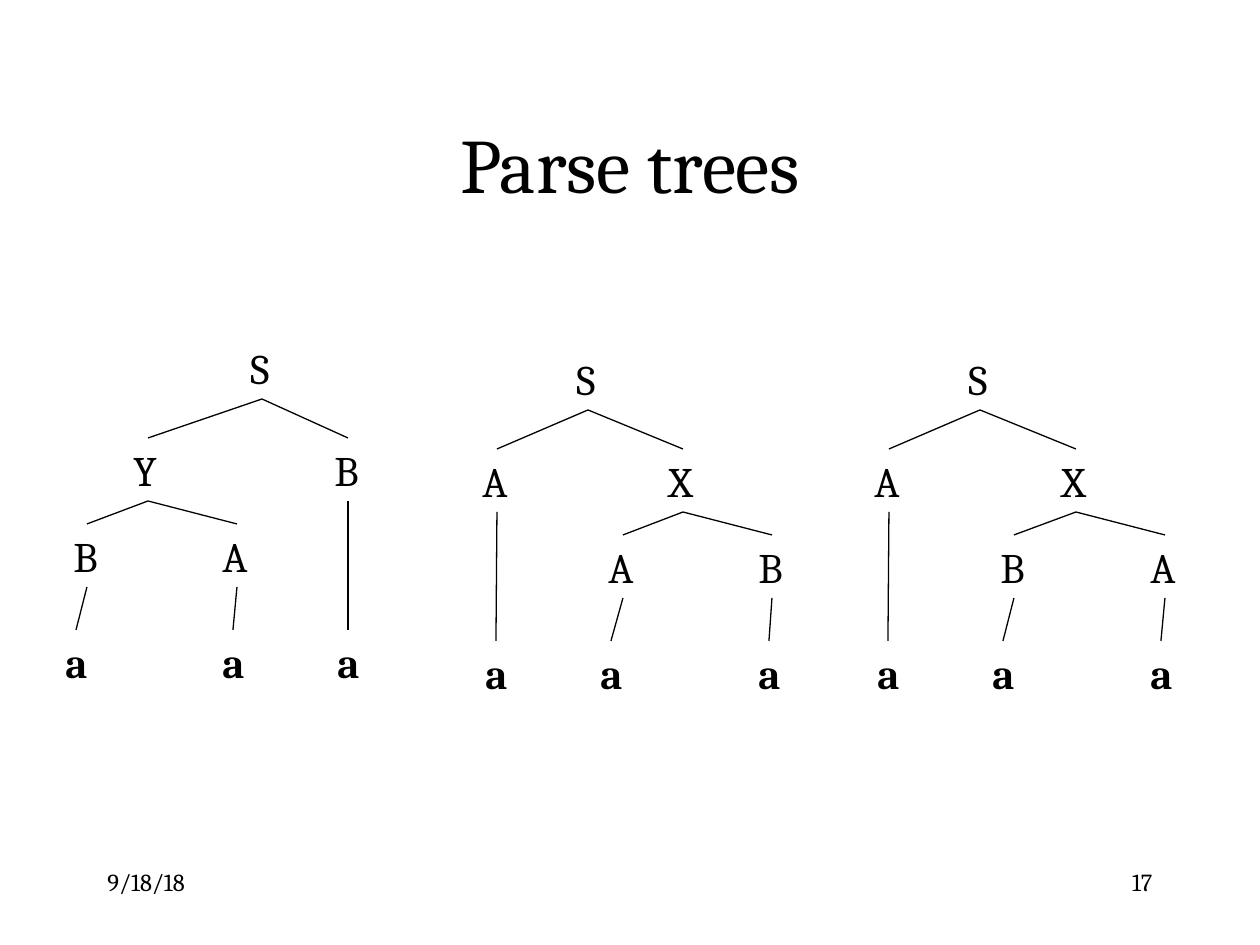
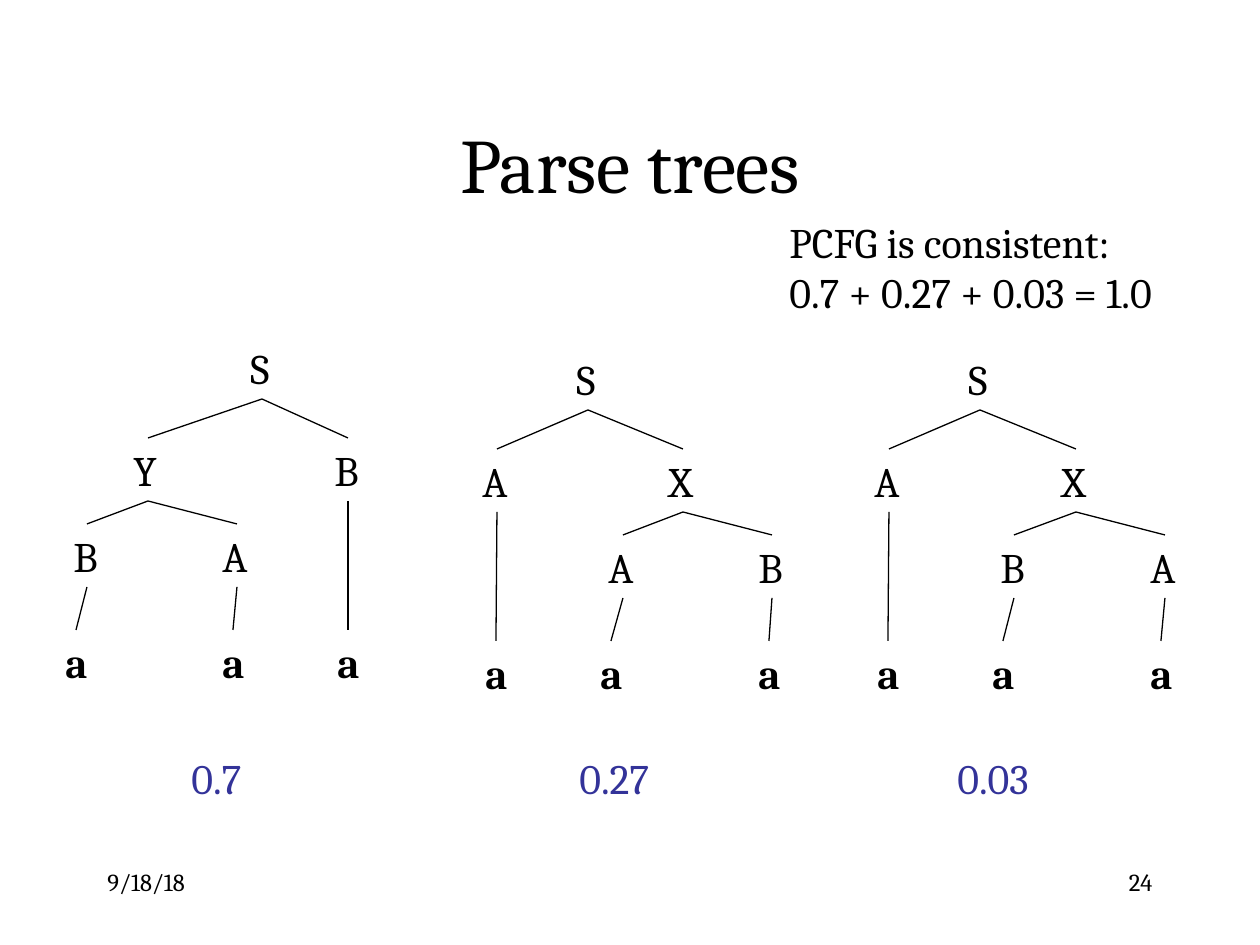
"""Build two slides of parse trees, the second with their probabilities."""
from dataclasses import dataclass

from pptx import Presentation
from pptx.dml.color import RGBColor
from pptx.enum.text import MSO_ANCHOR as Anchor, MSO_AUTO_SIZE as AutoSize, PP_ALIGN as Align
from pptx.enum.shapes import MSO_CONNECTOR as Connector
from pptx.oxml.ns import qn
from pptx.util import Pt
from lxml.etree import SubElement

PIXEL = 914400 // 126
FONT = "Cambria"
BLACK = RGBColor(0x00, 0x00, 0x00)
BLUE = RGBColor(0x33, 0x33, 0x99)
NODE_HEIGHT = 63
LEVEL_TOPS = (0, 102, 188, 294)
LEAF_LEVEL = len(LEVEL_TOPS) - 1
LABEL_WIDTHS = {"S": 49, "A": 55, "B": 53, "X": 55, "Y": 55, "a": 47}


@dataclass
class Node:
    label: str
    center: int
    children: tuple = ()


def word(label, center, leaf_center):
    return Node(label, center, (Node("a", leaf_center),))


TREES = (
    (336, Node("S", 262, (
        Node("Y", 148, (word("B", 87, 76), word("A", 237, 233))),
        word("B", 348, 348)))),
    (347, Node("S", 588, (
        word("A", 497, 496),
        Node("X", 683, (word("A", 623, 611), word("B", 772, 769)))))),
    (347, Node("S", 980, (
        word("A", 889, 888),
        Node("X", 1076, (word("B", 1014, 1003), word("A", 1165, 1161)))))),
)
PROBABILITIES = (("0.7", 179, 81), ("0.27", 567, 116), ("0.03", 945, 116))


def add_text(shapes, text, left, top, width, height, size=24, color=BLACK, bold=False,
             align=Align.LEFT, anchor=Anchor.TOP, wrap=True, grow=False):
    box = shapes.add_textbox(*(length * PIXEL for length in (left, top, width, height)))
    frame = box.text_frame
    frame.text = text
    frame.word_wrap = wrap
    frame.auto_size = AutoSize.SHAPE_TO_FIT_TEXT if grow else AutoSize.NONE
    frame.vertical_anchor = anchor
    for paragraph in frame.paragraphs:
        paragraph.alignment = align
        for run in paragraph.runs:
            run.font.name = FONT
            run.font.size = Pt(size)
            run.font.bold = bold
            run.font.color.rgb = color


def add_branch(shapes, *ends):
    line = shapes.add_connector(Connector.STRAIGHT, *(length * PIXEL for length in ends))
    line.line.color.rgb = BLACK
    line.line.width = Pt(0.75)
    SubElement(line._element.spPr, qn("a:effectLst"))


def add_node(shapes, node, tree_top, level=0):
    is_leaf = not node.children
    top = tree_top + LEVEL_TOPS[level]
    width = LABEL_WIDTHS[node.label]
    add_text(shapes, node.label, node.center - width // 2, top, width, NODE_HEIGHT,
             bold=is_leaf, wrap=False, grow=True)
    for child in node.children:
        child_level = level + 1 if child.children else LEAF_LEVEL
        add_branch(shapes, node.center, top + NODE_HEIGHT,
                   child.center, tree_top + LEVEL_TOPS[child_level])
        add_node(shapes, child, tree_top, child_level)


def add_tree_slide(presentation, number):
    slide = presentation.slides.add_slide(presentation.slide_layouts[6])
    add_text(slide.shapes, "9/18/18", 95, 861, 262, 63, size=14)
    add_text(slide.shapes, number, 903, 861, 262, 63, size=14, align=Align.RIGHT)
    add_text(slide.shapes, "Parse trees", 95, 84, 1071, 158, size=44,
             align=Align.CENTER, anchor=Anchor.MIDDLE)
    for top, root in TREES:
        add_node(slide.shapes.add_group_shape().shapes, root, top)
    return slide


def add_probabilities(slide):
    for text, left, width in PROBABILITIES:
        add_text(slide.shapes, text, left, 746, width, 63, color=BLUE, grow=True)
    add_text(slide.shapes, "PCFG is consistent:\n0.7 + 0.27 + 0.03 = 1.0",
             777, 210, 412, 113, wrap=False, grow=True)


def main():
    presentation = Presentation()
    presentation.slide_width = 1260 * PIXEL
    presentation.slide_height = 945 * PIXEL
    add_tree_slide(presentation, "17")
    add_probabilities(add_tree_slide(presentation, "24"))
    presentation.save("out.pptx")


main()
